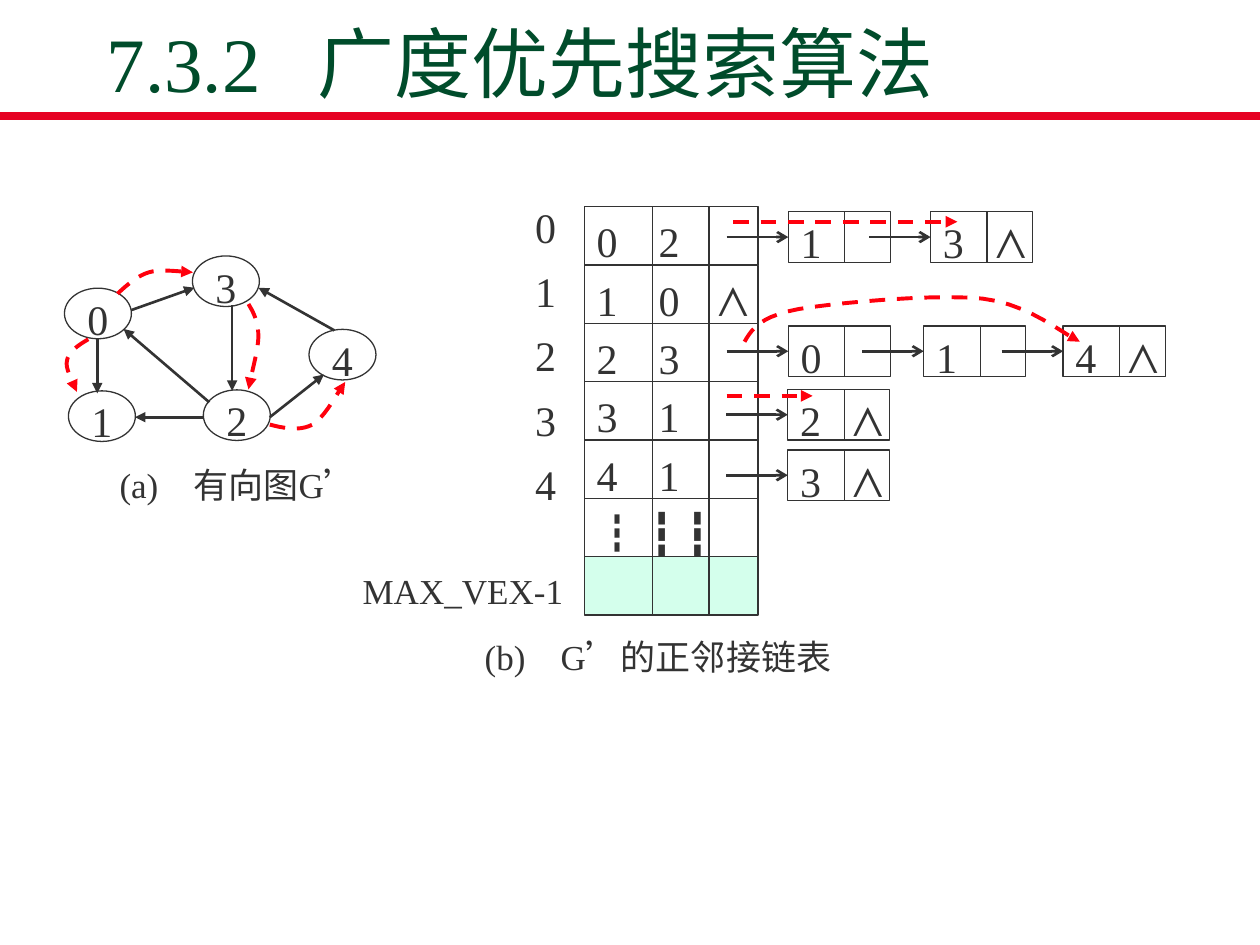
from dataclasses import dataclass

from lxml.etree import SubElement
from pptx import Presentation
from pptx.dml.color import RGBColor
from pptx.enum.dml import MSO_LINE
from pptx.enum.shapes import MSO_CONNECTOR, MSO_SHAPE
from pptx.enum.text import MSO_ANCHOR, MSO_AUTO_SIZE, PP_ALIGN
from pptx.oxml.ns import qn
from pptx.util import Cm, Pt


@dataclass(frozen=True)
class Theme:
    ink: RGBColor = RGBColor.from_string("333333")
    heading: RGBColor = RGBColor.from_string("004C2B")
    rule: RGBColor = RGBColor.from_string("E60223")
    visit: RGBColor = RGBColor.from_string("FF000D")
    spare: RGBColor = RGBColor.from_string("D4FFEC")
    latin: str = "Times New Roman"
    east: str = "Noto Sans CJK SC"
    title_size: int = 44
    value_size: int = 24
    caption_size: int = 20


@dataclass(frozen=True)
class Box:
    left: float
    top: float
    width: float
    height: float

    def at(self, x, y):
        return Cm(self.left + x), Cm(self.top + y)

    def inner(self, x, y, width, height):
        return Box(self.left + x, self.top + y, width, height)

    def frame(self):
        return Cm(self.left), Cm(self.top), Cm(self.width), Cm(self.height)


THEME = Theme()


def style_run(run, size, color=THEME.ink, latin=THEME.latin, east=THEME.east):
    run.font.size = Pt(size)
    run.font.color.rgb = color
    run.font.name = latin
    SubElement(run._r.get_or_add_rPr(), qn("a:ea")).set("typeface", east)


def write(shape, text, size, tabs=(), color=THEME.ink, spacing=1.2, gap=0,
          align=PP_ALIGN.LEFT, inset=0.25, anchor=MSO_ANCHOR.MIDDLE,
          latin=THEME.latin):
    frame = shape.text_frame
    frame.text = text
    frame.word_wrap = True
    frame.auto_size = MSO_AUTO_SIZE.NONE
    frame.vertical_anchor = anchor
    frame.margin_left = Cm(inset)
    frame.margin_right = frame.margin_top = frame.margin_bottom = 0
    for order, paragraph in enumerate(frame.paragraphs):
        if tabs:
            stops = SubElement(paragraph._p.get_or_add_pPr(), qn("a:tabLst"))
            for stop in tabs:
                SubElement(stops, qn("a:tab"), pos=str(Cm(stop)), algn="l")
        paragraph.alignment = align
        paragraph.line_spacing = spacing
        paragraph.space_before = Pt(gap if order else 0)
        for run in paragraph.runs:
            style_run(run, size, color, latin)


def outlined(shapes, preset, box, fill=None):
    shape = shapes.add_shape(preset, *box.frame())
    shape.shadow.inherit = False
    shape.line.color.rgb = THEME.ink
    shape.line.width = Pt(0.75)
    if fill is None:
        shape.fill.background()
    else:
        shape.fill.solid()
        shape.fill.fore_color.rgb = fill
    return shape


def label(shapes, box, text, size, **options):
    write(shapes.add_textbox(*box.frame()), text, size, **options)


def style_line(shape, color, width, head=None, dashed=False):
    shape.line.color.rgb = color
    shape.line.width = Pt(width)
    if dashed:
        shape.line.dash_style = MSO_LINE.DASH
    properties = shape._element.spPr
    if head:
        SubElement(properties.find(qn("a:ln")), qn("a:tailEnd"), type=head)
    SubElement(properties, qn("a:effectLst"))


def straight(shapes, box, start, end, color=THEME.ink, width=1.5, **options):
    connector = shapes.add_connector(
        MSO_CONNECTOR.STRAIGHT, *box.at(*start), *box.at(*end))
    style_line(connector, color, width, **options)
    return connector


def visit_curve(shapes, box, points, steps=10):
    trail = []
    for first in range(0, len(points) - 1, 3):
        a, b, c, d = points[first:first + 4]
        for step in range(1, steps + 1):
            t = step / steps
            u = 1 - t
            trail.append(box.at(*(
                u**3 * a[i] + 3 * u * u * t * b[i] + 3 * u * t * t * c[i] + t**3 * d[i]
                for i in range(2))))
    builder = shapes.build_freeform(*box.at(*points[0]))
    builder.add_line_segments(trail, close=False)
    curve = builder.convert_to_shape()
    curve.fill.background()
    style_line(curve, THEME.visit, 2.25, "triangle", dashed=True)


def heading(slide, box):
    title = slide.shapes.title
    title.left, title.top, title.width, title.height = box.frame()
    write(title, "7.3.2\t广度优先搜索算法", THEME.title_size, tabs=[4.26],
          color=THEME.heading, spacing=1, anchor=MSO_ANCHOR.BOTTOM)
    title.text_frame.margin_bottom = Cm(0.13)
    straight(slide.shapes, Box(0, box.top, 25.4, 1), (0, 1.67), (25.4, 1.67),
             THEME.rule, 4.5)


def digraph(shapes, box):
    vertices = [(0, 0.65), (0.08, 2.72), (2.8, 2.7), (2.58, 0), (4.93, 1.48)]
    for number, (x, y) in enumerate(vertices):
        vertex = outlined(shapes, MSO_SHAPE.OVAL, box.inner(x, y, 1.35, 1.02))
        write(vertex, str(number), THEME.value_size, align=PP_ALIGN.CENTER, inset=0)
    edges = [
        ((0.66, 1.68), (0.66, 2.77)), ((3.38, 0.99), (3.38, 2.72)),
        ((2.92, 2.95), (1.19, 1.47)), ((1.35, 1.09), (2.62, 0.64)),
        ((2.82, 3.25), (1.42, 3.25)), ((5.44, 1.5), (3.91, 0.64)),
        ((4.14, 3.25), (5.23, 2.39)),
    ]
    for start, end in edges:
        straight(shapes, box, start, end, head="triangle")
    visits = [
        [(1.07, 0.76), (1.27, 0.58), (1.45, 0.41), (1.7, 0.33),
         (1.96, 0.25), (2.44, 0.33), (2.59, 0.33)],
        [(0.48, 1.68), (0.28, 1.8), (0.08, 1.93), (0.05, 2.11),
         (0, 2.29), (0.23, 2.64), (0.25, 2.74)],
        [(3.71, 0.97), (3.81, 1.14), (3.91, 1.32), (3.91, 1.63),
         (3.91, 1.91), (3.73, 2.51), (3.71, 2.69)],
        [(4.14, 3.4), (4.45, 3.48), (4.75, 3.53), (5, 3.4),
         (5.26, 3.25), (5.54, 2.69), (5.66, 2.54)],
    ]
    for points in visits:
        visit_curve(shapes, box, points)
    label(shapes, box.inner(0.86, 4.06, 6.2, 0.92), "(a)\t有向图G’",
          THEME.caption_size, tabs=[1.49])


def vertex_array(shapes, box):
    rows = ["0\t2", "1\t0\t⋀", "2\t3", "3\t1", "4\t1", "┇", ""]
    height = box.height / len(rows)
    for index, text in enumerate(rows):
        row = box.inner(0, index * height, box.width, height)
        record = outlined(shapes, MSO_SHAPE.RECTANGLE, row, None if text else THEME.spare)
        if text == "┇":
            write(record, text, THEME.value_size, latin=THEME.east)
            more = record.text_frame.paragraphs[0].add_run()
            more.text = " ┇ ┇"
            style_run(more, THEME.value_size, east=THEME.latin)
        elif text:
            write(record, text, THEME.value_size, tabs=[1.25, 2.44])
        for x in (1.37, 2.51):
            straight(shapes, row, (x, 0), (x, height), width=0.75)


def edge_list(shapes, box, nodes):
    for x, text in nodes:
        cell = box.inner(x, 0, 2.06, box.height)
        node = outlined(shapes, MSO_SHAPE.RECTANGLE, cell)
        write(node, text, THEME.value_size, tabs=[1.06])
        straight(shapes, cell, (1.14, 0), (1.14, cell.height), width=0.75)
        middle = cell.height / 2
        pointer = straight(shapes, cell, (-1.24, middle), (0, middle), head="arrow")
        pointer.end_connect(node, 1)


def adjacency_list(shapes, box):
    label(shapes, box.inner(3.48, -0.03, 1.02, 5.94), "0\n1\n2\n3\n4",
          THEME.value_size, spacing=1.1, gap=5)
    label(shapes, box.inner(0, 7.14, 4.52, 1.02), "MAX_VEX-1", THEME.caption_size)
    vertex_array(shapes, box.inner(4.72, 0, 3.5, 8.23))
    lists = [
        (0.1, [(8.83, "1"), (11.7, "3\t⋀")]),
        (2.4, [(8.83, "0"), (11.56, "1"), (14.37, "4\t⋀")]),
        (3.68, [(8.82, "2\t⋀")]),
        (4.9, [(8.82, "3\t⋀")]),
    ]
    for top, nodes in lists:
        edge_list(shapes, box.inner(0, top, box.width, 1.02), nodes)
    for start, end in [((7.72, 0.3), (12.24, 0.3)), ((7.59, 3.81), (9.32, 3.81))]:
        straight(shapes, box, start, end, THEME.visit, 2.25, head="triangle", dashed=True)
    visit_curve(shapes, box, [
        (7.95, 2.72), (8.1, 2.46), (8.26, 2.21), (9.04, 2.06), (9.83, 1.93),
        (11.79, 1.75), (12.75, 1.85), (13.69, 1.96), (14.38, 2.57), (14.71, 2.72)])
    label(shapes, box.inner(2.46, 8.53, 7.6, 0.92), "(b)\tG’的正邻接链表",
          THEME.caption_size, tabs=[1.53])


def main():
    deck = Presentation()
    deck.slide_width, deck.slide_height = Cm(25.4), Cm(19.05)
    slide = deck.slides.add_slide(deck.slide_layouts[5])
    heading(slide, Box(1.9, 0.66, 21.6, 1.65))
    adjacency_list(slide.shapes.add_group_shape().shapes, Box(7.06, 4.17, 16.43, 9.45))
    digraph(slide.shapes.add_group_shape().shapes, Box(1.3, 5.16, 6.28, 4.98))
    deck.save("out.pptx")


if __name__ == "__main__":
    main()
